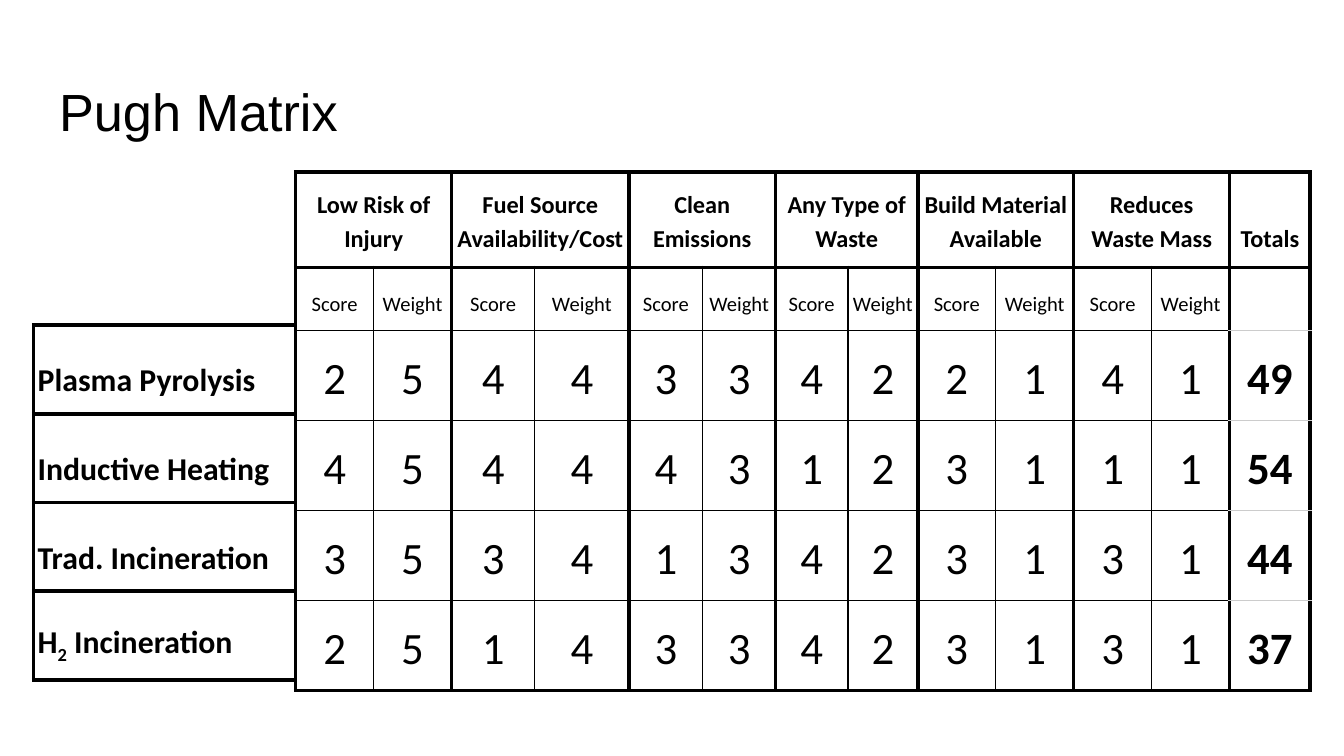
from lxml import etree
from pptx import Presentation
from pptx import util as u
from pptx.dml.color import RGBColor
from pptx.enum import text
from pptx.oxml.ns import qn

BLACK = RGBColor(0x00, 0x00, 0x00)
GREY = RGBColor(0xCC, 0xCC, 0xCC)
THICK, THIN = 2.25, 0.75

CRITERIA = ["Low Risk of Injury", "Fuel Source Availability/Cost", "Clean Emissions",
            "Any Type of Waste", "Build Material Available", "Reduces Waste Mass"]
WEIGHTS = [5, 4, 3, 2, 1, 1]
OPTIONS = [
    ([("Plasma Pyrolysis", False)], [2, 4, 3, 4, 2, 4], 49),
    ([("Inductive Heating", False)], [4, 4, 4, 1, 3, 1], 54),
    ([("Trad. Incineration", False)], [3, 3, 1, 4, 3, 3], 44),
    ([("H", False), ("2", True), (" Incineration", False)], [2, 1, 3, 4, 3, 3], 37),
]
MATRIX_COLUMNS = [0.58, 0.58, 0.62, 0.7, 0.55, 0.54, 0.54, 0.52, 0.58, 0.58, 0.58, 0.58, 0.6]
MATRIX_ROWS = [0.71, 0.47] + [0.67] * len(OPTIONS)
NAME_COLUMNS = [1.95]
NAME_ROWS = [0.66] * len(OPTIONS)


def add_grid(page, left, top, columns, rows):
    """Add an unstyled table with the given column widths and row heights."""
    frame = page.shapes.add_table(len(rows), len(columns), u.Inches(left), u.Inches(top),
                                  u.Inches(sum(columns)), u.Inches(sum(rows)))
    table = frame.table
    table.first_row = table.horz_banding = False
    for column, width in zip(table.columns, columns):
        column.width = u.Inches(width)
    for row, height in zip(table.rows, rows):
        row.height = u.Inches(height)
    return table


def format_cell(cell, spans, size, bold, align, borders):
    """Write (wording, is_subscript) spans and draw left, right, top, bottom borders."""
    properties = cell._tc.get_or_add_tcPr()
    for side, (width, color) in zip("LRTB", borders):
        line = etree.SubElement(properties, qn(f"a:ln{side}"), w=str(u.Pt(width)))
        fill = etree.SubElement(line, qn("a:solidFill"))
        etree.SubElement(fill, qn("a:srgbClr"), val=str(color))
    cell.fill.background()
    if not spans:
        return
    cell.margin_left = cell.margin_right = u.Inches(0.03)
    cell.margin_top = cell.margin_bottom = u.Inches(0.1)
    cell.vertical_anchor = text.MSO_ANCHOR.BOTTOM
    para = cell.text_frame.paragraphs[0]
    para.alignment = align
    para.line_spacing = 1.15
    for wording, is_subscript in spans:
        span = para.add_run()
        span.text = wording
        span.font.name = "Calibri"
        span.font.size = u.Pt(size)
        span.font.bold = bold
        span.font.color.rgb = BLACK
        if is_subscript:
            span.font._element.set("baseline", "-25000")


deck = Presentation()
deck.slide_width = u.Inches(10)
deck.slide_height = deck.slide_width * 9 // 16
page = deck.slides.add_slide(deck.slide_layouts[5])

# Title
title = page.shapes.title
title.left, title.top = u.Inches(0.34), u.Inches(0.49)
title.width, title.height = u.Inches(9.32), u.Inches(0.63)
box = title.text_frame
box.auto_size = text.MSO_AUTO_SIZE.NONE
box.vertical_anchor = text.MSO_ANCHOR.TOP
box.margin_left = box.margin_right = box.margin_top = box.margin_bottom = u.Inches(0.1)
para = box.paragraphs[0]
para.alignment = text.PP_ALIGN.LEFT
span = para.add_run()
span.text = "Pugh Matrix"
span.font.name = "Arial"
span.font.size = u.Pt(28)
span.font.color.rgb = BLACK

# Score matrix: one score and one weight column per criterion, then the totals
heading, subheading = [], []
for criterion in CRITERIA:
    heading += [criterion, ""]
    subheading += ["Score", "Weight"]
content = [heading + ["Totals"], subheading + [""]]
for _, scores, total in OPTIONS:
    numbers = [number for pair in zip(scores, WEIGHTS) for number in pair]
    content.append([str(number) for number in numbers + [total]])

matrix = add_grid(page, 2.2, 1.28, MATRIX_COLUMNS, MATRIX_ROWS)
last_row, totals = len(MATRIX_ROWS) - 1, len(MATRIX_COLUMNS) - 1
for start in range(0, totals, 2):
    matrix.cell(0, start).merge(matrix.cell(0, start + 1))
for r, wordings in enumerate(content):
    size = {0: 13, 1: 11}.get(r, 24)
    for c, wording in enumerate(wordings):
        is_total = c == totals
        thin = (THIN, GREY if is_total else BLACK)
        thick_sides = [r == 0 or c % 2 == 0, r == 0 or c % 2 == 1 or is_total,
                       r <= 1, r in (0, last_row)]
        borders = [(THICK, BLACK) if thick else thin for thick in thick_sides]
        spans = [(wording, False)] if wording else []
        format_cell(matrix.cell(r, c), spans, size, r == 0 or is_total,
                    text.PP_ALIGN.CENTER, borders)

# Option names beside the matrix
names = add_grid(page, 0.25, 2.42, NAME_COLUMNS, NAME_ROWS)
for r, (spans, _, _) in enumerate(OPTIONS):
    format_cell(names.cell(r, 0), spans, 17, True, text.PP_ALIGN.LEFT, [(THICK, BLACK)] * 4)

deck.save("out.pptx")
